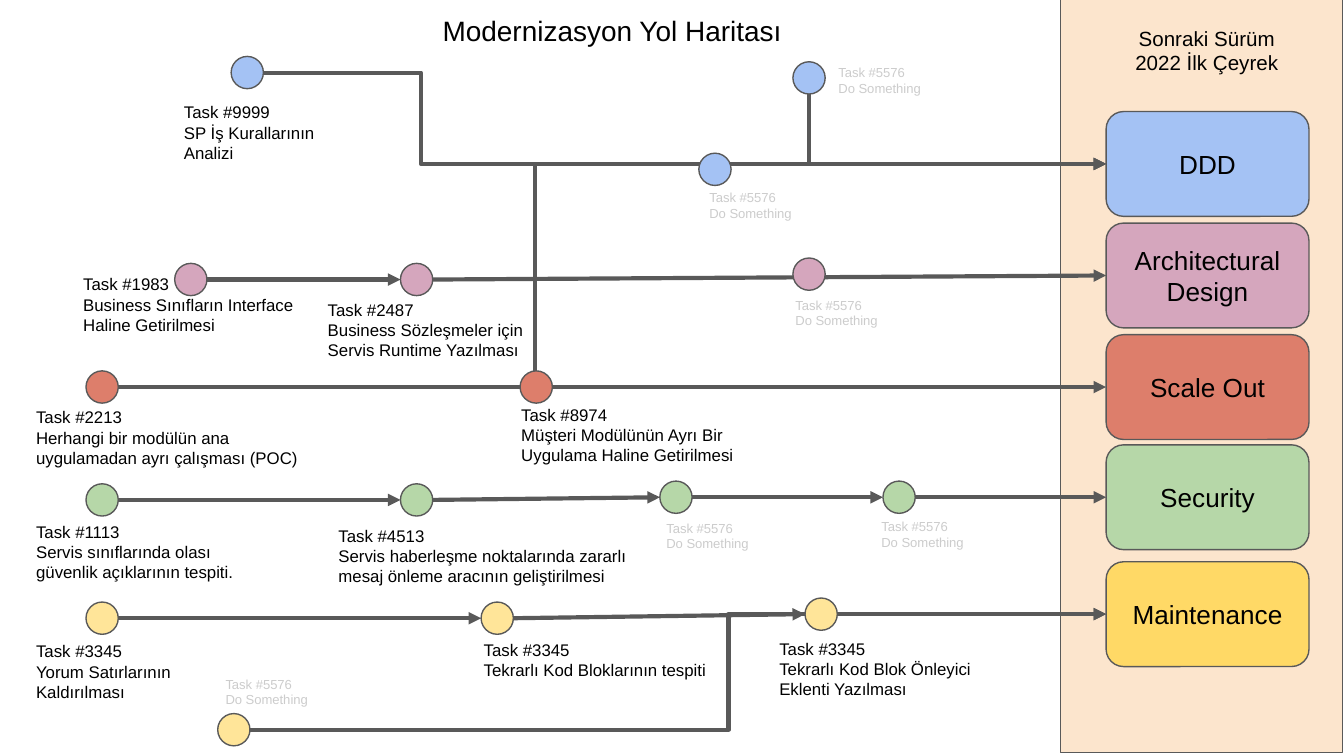
from lxml import etree
from pptx import Presentation
from pptx import util as u
from pptx.dml.color import RGBColor
from pptx.enum import shapes, text
from pptx.oxml.ns import qn

PX = u.Inches(1) // 100
SLIDE_WIDTH = 1000 * PX
STOP = 24
COLORS = {
    "line": "595959", "ink": "000000", "planned": "CCCCCC", "panel": "FCE5CD",
    "blue": "A4C2F4", "pink": "D5A6BD", "red": "DD7E6B", "green": "B6D7A8",
    "gold": "FFD966", "yellow": "FFE599",
}
GOAL_LEFT, GOAL_WIDTH, GOAL_HEIGHT = 823, 151, 78

# All positions in a lane are relative to its left and top.
# chain: stops joined in a row and then to the goal
# elbows: (stop, x of the turn); drops: points that run vertically into the goal line
# tasks: (left, top, width, height, text); planned: (left, top)
LANES = [
    {"goal": "DDD", "top": 83, "goal_color": "blue", "stop_color": "blue",
     "stops": [(172, -41), (520, 31), (590, -37)],
     "elbows": [(0, 313)], "drops": [(602, -14), (398, 193)],
     "tasks": [(127, -17, 136, 66, "Task #9999\nSP İş Kurallarının Analizi")],
     "planned": [(518, 48), (614, -45)]},
    {"goal": "Architectural Design", "top": 166, "goal_color": "pink", "stop_color": "pink",
     "stops": [(130, 30), (298, 30), (590, 26)], "chain": [0, 1],
     "tasks": [(52, 28, 209, 66, "Task #1983\nBusiness Sınıfların Interface Haline Getirilmesi"),
               (234, 47, 169, 66, "Task #2487\nBusiness Sözleşmeler için Servis Runtime Yazılması")],
     "planned": [(582, 45)]},
    {"goal": "Scale Out", "top": 249, "goal_color": "red", "stop_color": "red",
     "stops": [(64, 27), (387, 27)], "chain": [0],
     "tasks": [(17, 44, 236, 66, "Task #2213\nHerhangi bir modülün ana uygulamadan ayrı çalışması (POC)"),
               (378, 42, 189, 66, "Task #8974\nMüşteri Modülünün Ayrı Bir Uygulama Haline Getirilmesi")]},
    {"goal": "Security", "top": 331, "goal_color": "green", "stop_color": "green",
     "stops": [(64, 29), (298, 29), (491, 27), (657, 27)], "chain": [0, 1, 2, 3],
     "tasks": [(17, 47, 198, 66, "Task #1113\nServis sınıflarında olası güvenlik açıklarının tespiti."),
               (242, 50, 244, 66, "Task #4513\nServis haberleşme noktalarında zararlı mesaj önleme aracının geliştirilmesi")],
     "planned": [(646, 45), (486, 46)]},
    {"goal": "Maintenance", "top": 418, "goal_color": "gold", "stop_color": "yellow",
     "stops": [(64, 30), (358, 30), (599, 27), (162, 113)], "chain": [0, 1, 2],
     "elbows": [(3, 542)],
     "tasks": [(17, 49, 136, 66, "Task #3345\nYorum Satırlarının\nKaldırılması"),
               (350, 48, 198, 50, "Task #3345\nTekrarlı Kod Bloklarının tespiti"),
               (570, 47, 198, 66, "Task #3345\nTekrarlı Kod Blok Önleyici Eklenti Yazılması")],
     "planned": [(158, 75)]},
]


def rgb(name):
    return RGBColor.from_string(COLORS[name])


def write(shape, content, size, color="ink", centered=False):
    frame = shape.text_frame
    frame.word_wrap = True
    frame.margin_left = frame.margin_right = 10 * PX
    frame.margin_top = frame.margin_bottom = 10 * PX
    frame.text = content
    for paragraph in frame.paragraphs:
        paragraph.alignment = text.PP_ALIGN.CENTER if centered else text.PP_ALIGN.LEFT
        for run in paragraph.runs:
            run.font.name = "Arial"
            run.font.size = u.Pt(size)
            run.font.color.rgb = rgb(color)


def add_label(slide, box, content, size, color="ink", centered=False):
    label = slide.shapes.add_textbox(*(length * PX for length in box))
    write(label, content, size, color, centered)
    label.text_frame.auto_size = text.MSO_AUTO_SIZE.SHAPE_TO_FIT_TEXT


def add_block(slide, kind, box, color):
    block = slide.shapes.add_shape(kind, *(length * PX for length in box))
    block.shadow.inherit = False
    block.fill.solid()
    block.fill.fore_color.rgb = rgb(color)
    block.line.color.rgb = rgb("line")
    block.line.width = u.Pt(0.75)
    return block


def add_arrow(slide, start, end, kind=shapes.MSO_CONNECTOR.STRAIGHT):
    arrow = slide.shapes.add_connector(kind, *(round(length * PX) for length in (*start, *end)))
    arrow.line.color.rgb = rgb("line")
    arrow.line.width = u.Pt(2.25)
    properties = arrow.element.spPr
    etree.SubElement(properties.find(qn("a:ln")), qn("a:tailEnd"), type="triangle")
    etree.SubElement(properties, qn("a:effectLst"))
    return arrow


def add_elbow(slide, start, end, turn):
    """Arrow that runs across to x = turn, vertically, and across again."""
    arrow = add_arrow(slide, start, end, shapes.MSO_CONNECTOR.ELBOW)
    share = round((turn - start[0]) / (end[0] - start[0]) * 100000)
    guides = arrow.element.spPr.find(qn("a:prstGeom")).get_or_add_avLst()
    etree.SubElement(guides, qn("a:gd"), name="adj1", fmla=f"val {share}")


def add_drop(slide, start, end):
    """Arrow that runs vertically first and then right, as a corner turned by 270 degrees."""
    run, rise = end[0] - start[0], abs(end[1] - start[1])
    left = (start[0] + end[0] - rise) / 2
    top = (start[1] + end[1] - run) / 2
    arrow = add_arrow(slide, (left, top), (left + rise, top + run), shapes.MSO_CONNECTOR.ELBOW)
    properties = arrow.element.spPr
    properties.find(qn("a:prstGeom")).set("prst", "bentConnector2")
    transform = properties.find(qn("a:xfrm"))
    transform.set("rot", str(270 * 60000))
    if end[1] > start[1]:
        transform.set("flipH", "1")


def add_release_panel(slide, left, top, width, height):
    add_block(slide, shapes.MSO_SHAPE.RECTANGLE, (left, top, width, height), "panel")
    add_label(slide, (left + 27, top + 11, 164, 57), "Sonraki Sürüm\n2022 İlk Çeyrek", 11, centered=True)


def add_lane(slide, lane, left, top, width, height):
    stops = [(left + x, top + y) for x, y in lane["stops"]]
    goal = (left + width, top + height / 2)
    exits = [(x + STOP, y + STOP / 2) for x, y in stops]
    entries = [(x, y + STOP / 2) for x, y in stops]

    chain = lane.get("chain", [])
    for index, stop in enumerate(chain):
        end = entries[chain[index + 1]] if index + 1 < len(chain) else goal
        add_arrow(slide, exits[stop], end)
    for stop, turn in lane.get("elbows", []):
        add_elbow(slide, exits[stop], goal, left + turn)
    for x, y in lane.get("drops", []):
        add_drop(slide, (left + x, top + y), goal)

    for x, y in stops:
        add_block(slide, shapes.MSO_SHAPE.OVAL, (x, y, STOP, STOP), lane["stop_color"])
    for x, y, label_width, label_height, content in lane["tasks"]:
        add_label(slide, (left + x, top + y, label_width, label_height), content, 9)
    for x, y in lane.get("planned", []):
        add_label(slide, (left + x, top + y, 136, 44), "Task #5576\nDo Something", 7, "planned")

    box = (left + width, top, GOAL_WIDTH, height)
    block = add_block(slide, shapes.MSO_SHAPE.ROUNDED_RECTANGLE, box, lane["goal_color"])
    write(block, lane["goal"], 14, centered=True)
    block.text_frame.vertical_anchor = text.MSO_ANCHOR.MIDDLE


def main():
    presentation = Presentation()
    presentation.slide_width = SLIDE_WIDTH
    presentation.slide_height = SLIDE_WIDTH * 9 // 16
    slide = presentation.slides.add_slide(presentation.slide_layouts[6])
    add_release_panel(slide, 789, -2, 210, 562)
    add_label(slide, (247, 0, 417, 45), "Modernizasyon Yol Haritası", 15, centered=True)
    for lane in LANES:
        add_lane(slide, lane, 0, lane["top"], GOAL_LEFT, GOAL_HEIGHT)
    presentation.save("out.pptx")


if __name__ == "__main__":
    main()
